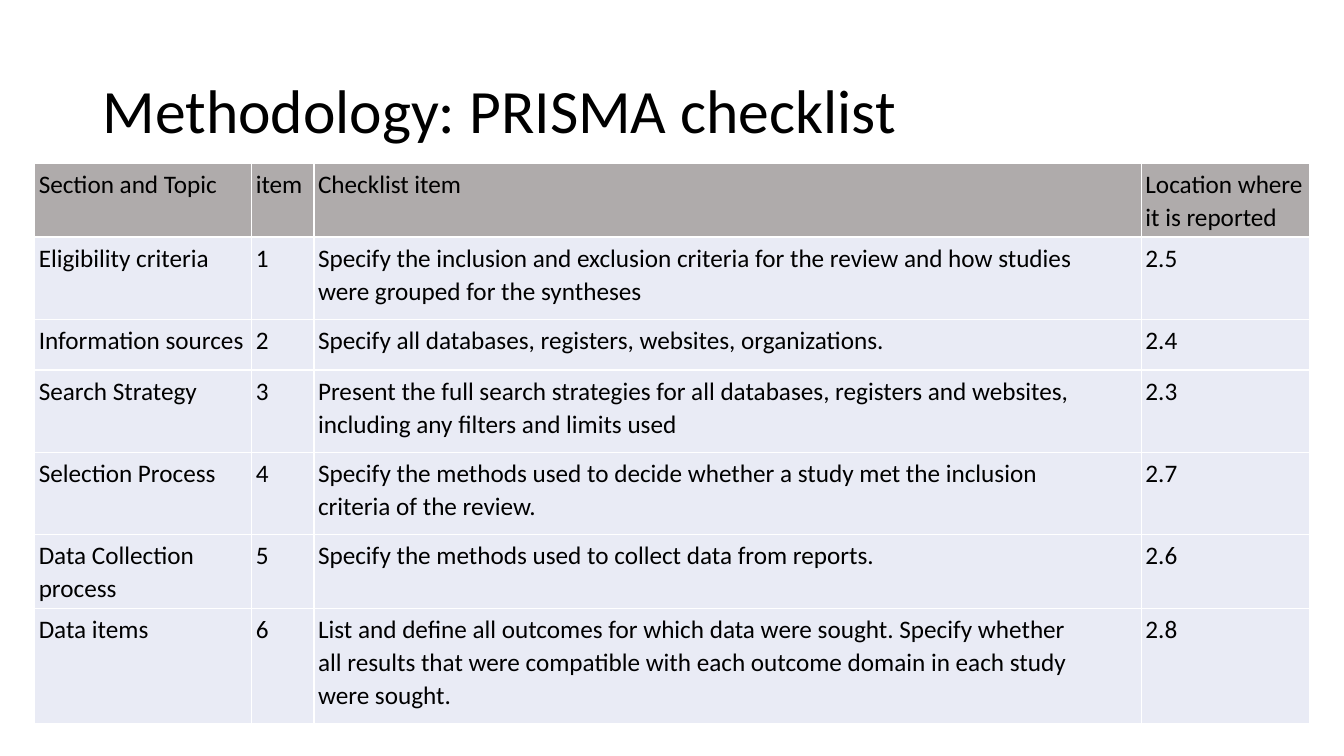
from dataclasses import dataclass

from lxml import etree
from pptx import Presentation
from pptx.dml.color import RGBColor
from pptx.enum.text import MSO_ANCHOR, MSO_AUTO_SIZE, PP_ALIGN
from pptx.oxml.ns import qn
from pptx.slide import Slide
from pptx.table import _Cell
from pptx.text.text import _Paragraph
from pptx.util import Pt

LEFT = PP_ALIGN.LEFT
TOP = MSO_ANCHOR.TOP
MIDDLE = MSO_ANCHOR.MIDDLE
NO_AUTOFIT = MSO_AUTO_SIZE.NONE

FONT = "Calibri"
COLORS = {"text": "000000", "header": "AFABAB", "body": "E9EBF5", "border": "FFFFFF"}
COLUMN_WIDTHS = (155, 44.5, 591, 120.5)
CELL_INSET = Pt(2.9)
BORDER_WIDTH = Pt(1)
TITLE_ONLY_LAYOUT = 5


@dataclass(frozen=True)
class ChecklistRow:
    topic: str
    item: str
    requirement: tuple[str, ...]
    location: str
    height: float
    fill: str = "body"


CHECKLIST = (
    ChecklistRow("Section and Topic", "item", ("Checklist item",),
                 "Location where it is reported", 52, "header"),
    ChecklistRow("Eligibility criteria", "1", (
        "Specify the inclusion and exclusion criteria for the review and how studies",
        "were grouped for the syntheses",
    ), "2.5", 59),
    ChecklistRow("Information sources", "2", (
        "Specify all databases, registers, websites, organizations.",
    ), "2.4", 36),
    ChecklistRow("Search Strategy", "3", (
        "Present the full search strategies for all databases, registers and websites,",
        "including any filters and limits used",
    ), "2.3", 59),
    ChecklistRow("Selection Process", "4", (
        "Specify the methods used to decide whether a study met the inclusion",
        "criteria of the review.",
    ), "2.7", 58.5),
    ChecklistRow("Data Collection process", "5", (
        "Specify the methods used to collect data from reports.",
    ), "2.6", 52),
    ChecklistRow("Data items", "6", (
        "List and define all outcomes for which data were sought. Specify whether",
        "all results that were compatible with each outcome domain in each study",
        "were sought.",
    ), "2.8", 82),
)


def write_line(paragraph: _Paragraph, text: str, size: float, spacing: float) -> None:
    paragraph.alignment = LEFT
    paragraph.line_spacing = spacing
    paragraph.space_before = paragraph.space_after = Pt(0)
    run = paragraph.add_run()
    run.text = text
    run.font.name = FONT
    run.font.size = Pt(size)
    run.font.bold = False
    run.font.color.rgb = RGBColor.from_string(COLORS["text"])


def outline_cell(cell: _Cell) -> None:
    properties = cell._tc.get_or_add_tcPr()
    for side in ("a:lnL", "a:lnR", "a:lnT", "a:lnB"):
        border = etree.SubElement(properties, qn(side), w=str(BORDER_WIDTH))
        fill = etree.SubElement(border, qn("a:solidFill"))
        etree.SubElement(fill, qn("a:srgbClr"), val=COLORS["border"])


def fill_cell(cell: _Cell, lines: tuple[str, ...], fill: str) -> None:
    outline_cell(cell)
    cell.fill.solid()
    cell.fill.fore_color.rgb = RGBColor.from_string(COLORS[fill])
    cell.margin_left = cell.margin_right = CELL_INSET
    cell.margin_top = cell.margin_bottom = CELL_INSET
    cell.vertical_anchor = TOP
    frame = cell.text_frame
    for index, line in enumerate(lines):
        paragraph = frame.add_paragraph() if index else frame.paragraphs[0]
        write_line(paragraph, line, 18, 1.07)


def add_heading(slide: Slide, text: str) -> None:
    heading = slide.shapes.title
    heading.left, heading.top = Pt(66), Pt(28.75)
    heading.width, heading.height = Pt(828), Pt(104.4)
    frame = heading.text_frame
    frame.auto_size = NO_AUTOFIT
    frame.word_wrap = True
    frame.vertical_anchor = MIDDLE
    write_line(frame.paragraphs[0], text, 44, 0.9)


def add_checklist(slide: Slide, rows: tuple[ChecklistRow, ...]) -> None:
    checklist = slide.shapes.add_table(
        len(rows), len(COLUMN_WIDTHS), Pt(24.8), Pt(116.5),
        Pt(sum(COLUMN_WIDTHS)), Pt(sum(row.height for row in rows)),
    ).table
    for column, width in zip(checklist.columns, COLUMN_WIDTHS):
        column.width = Pt(width)
    for table_row, row in zip(checklist.rows, rows):
        table_row.height = Pt(row.height)
        contents = ((row.topic,), (row.item,), row.requirement, (row.location,))
        for cell, lines in zip(table_row.cells, contents):
            fill_cell(cell, lines, row.fill)


def main() -> None:
    presentation = Presentation()
    presentation.slide_width, presentation.slide_height = Pt(960), Pt(540)
    slide = presentation.slides.add_slide(presentation.slide_layouts[TITLE_ONLY_LAYOUT])
    add_heading(slide, "Methodology: PRISMA checklist")
    add_checklist(slide, CHECKLIST)
    presentation.save("out.pptx")


if __name__ == "__main__":
    main()
